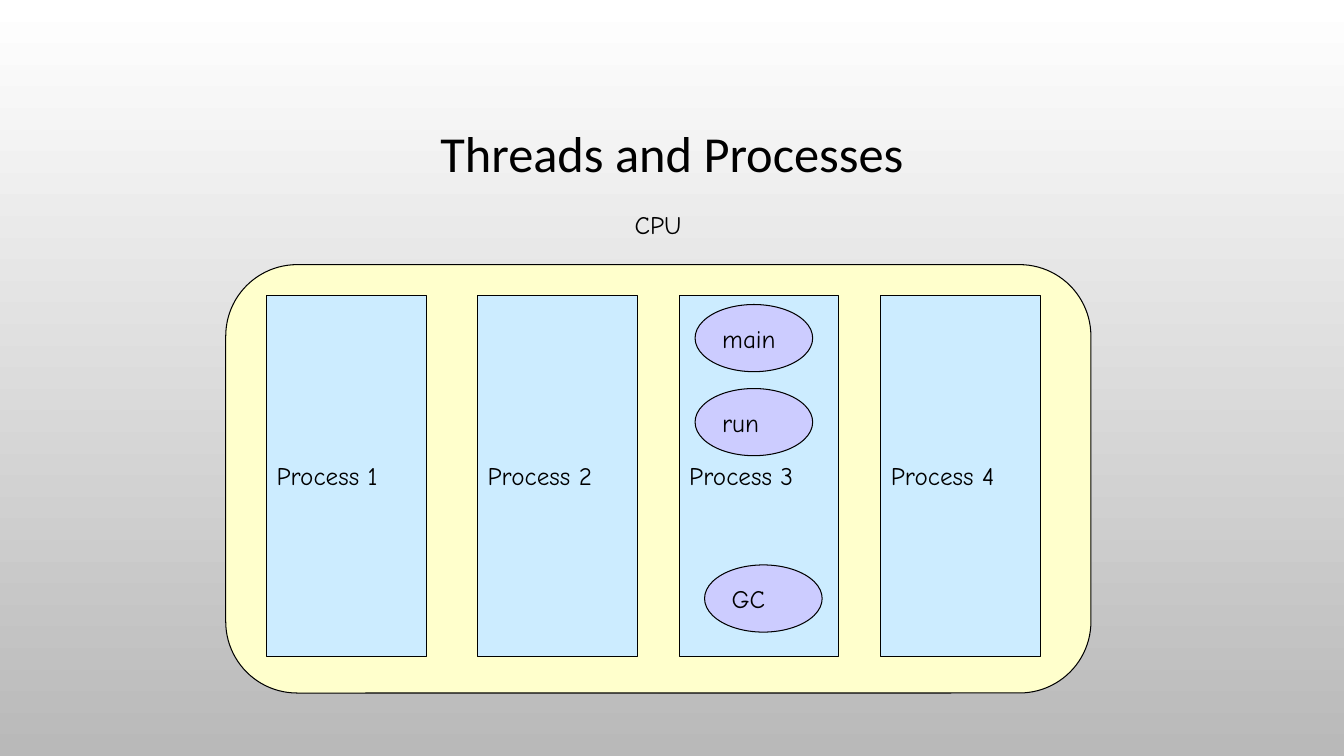
from pptx import Presentation
from pptx.dml.color import RGBColor
from pptx.enum.shapes import MSO_SHAPE as Shape
from pptx.enum.text import MSO_ANCHOR as Anchor, MSO_AUTO_SIZE as AutoSize, PP_ALIGN as Align
from pptx.util import Pt

EMU_PER_PX = 9525
BLACK = RGBColor(0x00, 0x00, 0x00)
WHITE = RGBColor(0xFF, 0xFF, 0xFF)
GREY = RGBColor(0xB9, 0xB9, 0xB9)
CREAM = RGBColor(0xFF, 0xFF, 0xCC)
SKY = RGBColor(0xCC, 0xEC, 0xFF)
LILAC = RGBColor(0xCC, 0xCC, 0xFF)


def px(*lengths):
    return [length * EMU_PER_PX for length in lengths]


class Diagram:
    title_font, title_size = "Calibri", 36
    label_font, label_size = "Comic Neue", 18

    def __init__(self, slide):
        self.slide = slide

    def background(self, top, bottom):
        fill = self.slide.background.fill
        fill.gradient()
        fill.gradient_angle = 270
        for stop, color in zip(fill.gradient_stops, (top, bottom)):
            stop.color.rgb = color

    def set_text(self, frame, text, font, size, align=Align.LEFT):
        paragraph = frame.paragraphs[0]
        paragraph.text = text
        paragraph.alignment = align
        paragraph.font.name = font
        paragraph.font.size = Pt(size)
        paragraph.font.color.rgb = BLACK
        return paragraph

    def title(self, text, *box):
        frame = self.slide.shapes.add_textbox(*px(*box)).text_frame
        frame.word_wrap = True
        frame.vertical_anchor = Anchor.MIDDLE
        heading = self.set_text(frame, text, self.title_font, self.title_size, Align.CENTER)
        heading.line_spacing = 0.9

    def caption(self, text, *box):
        frame = self.slide.shapes.add_textbox(*px(*box)).text_frame
        frame.word_wrap = False
        frame.auto_size = AutoSize.SHAPE_TO_FIT_TEXT
        self.set_text(frame, text, self.label_font, self.label_size)

    def node(self, kind, color, *box, label=None):
        node = self.slide.shapes.add_shape(kind, *px(*box))
        node.shadow.inherit = False
        node.fill.solid()
        node.fill.fore_color.rgb = color
        node.line.color.rgb = BLACK
        node.line.width = Pt(0.75)
        if label:
            frame = node.text_frame
            frame.word_wrap = False
            frame.vertical_anchor = Anchor.MIDDLE
            self.set_text(frame, label, self.label_font, self.label_size)


def main():
    deck = Presentation()
    deck.slide_width, deck.slide_height = px(1280, 720)
    diagram = Diagram(deck.slides.add_slide(deck.slide_layouts[6]))

    diagram.background(WHITE, GREY)
    diagram.title("Threads and Processes", 96, 65, 1088, 168)
    diagram.caption("CPU", 595, 195, 64, 38)
    diagram.node(Shape.ROUNDED_RECTANGLE, CREAM, 215, 252, 824, 408)

    for number, left in enumerate((254, 455, 647, 839), start=1):
        diagram.node(Shape.RECTANGLE, SKY, left, 281, 152, 344, label=f"Process {number}")

    for thread, left, top in (("main", 662, 290), ("run", 662, 370), ("GC", 671, 538)):
        diagram.node(Shape.OVAL, LILAC, left, top, 112, 64, label=thread)

    deck.save("out.pptx")


if __name__ == "__main__":
    main()
